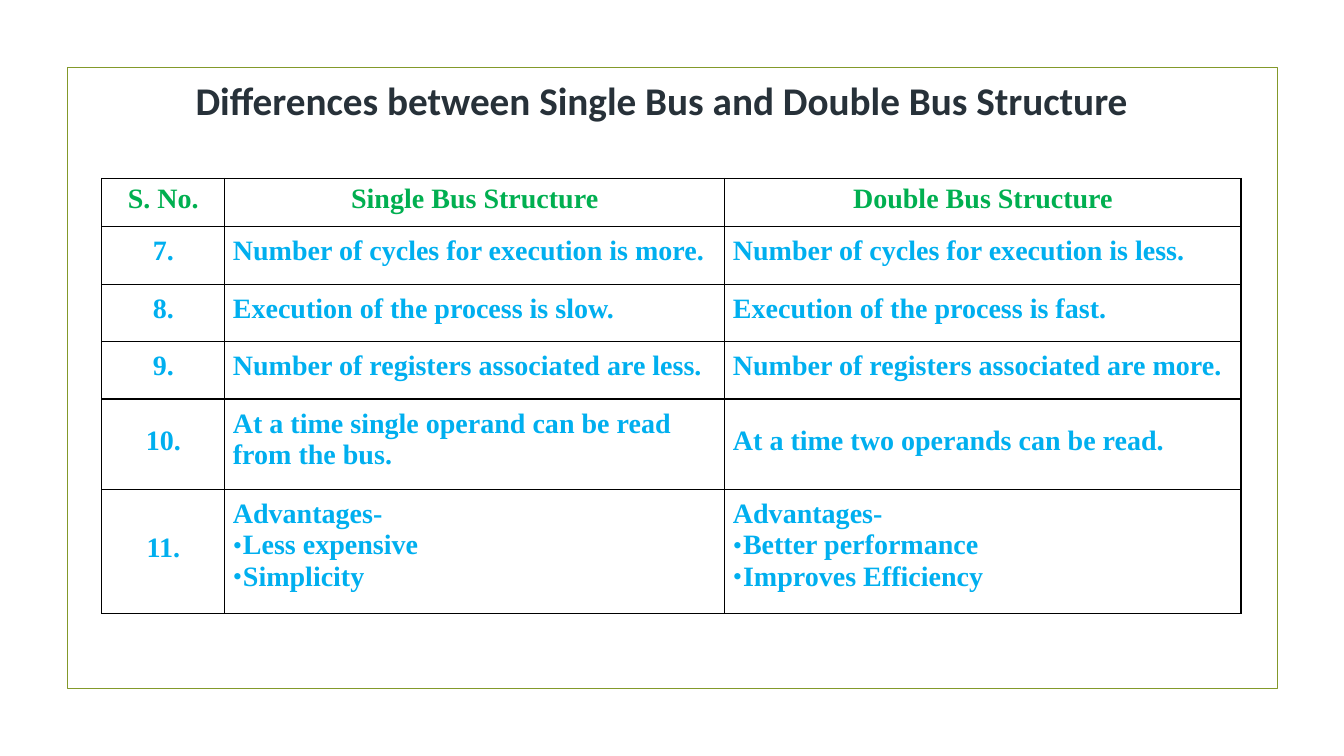
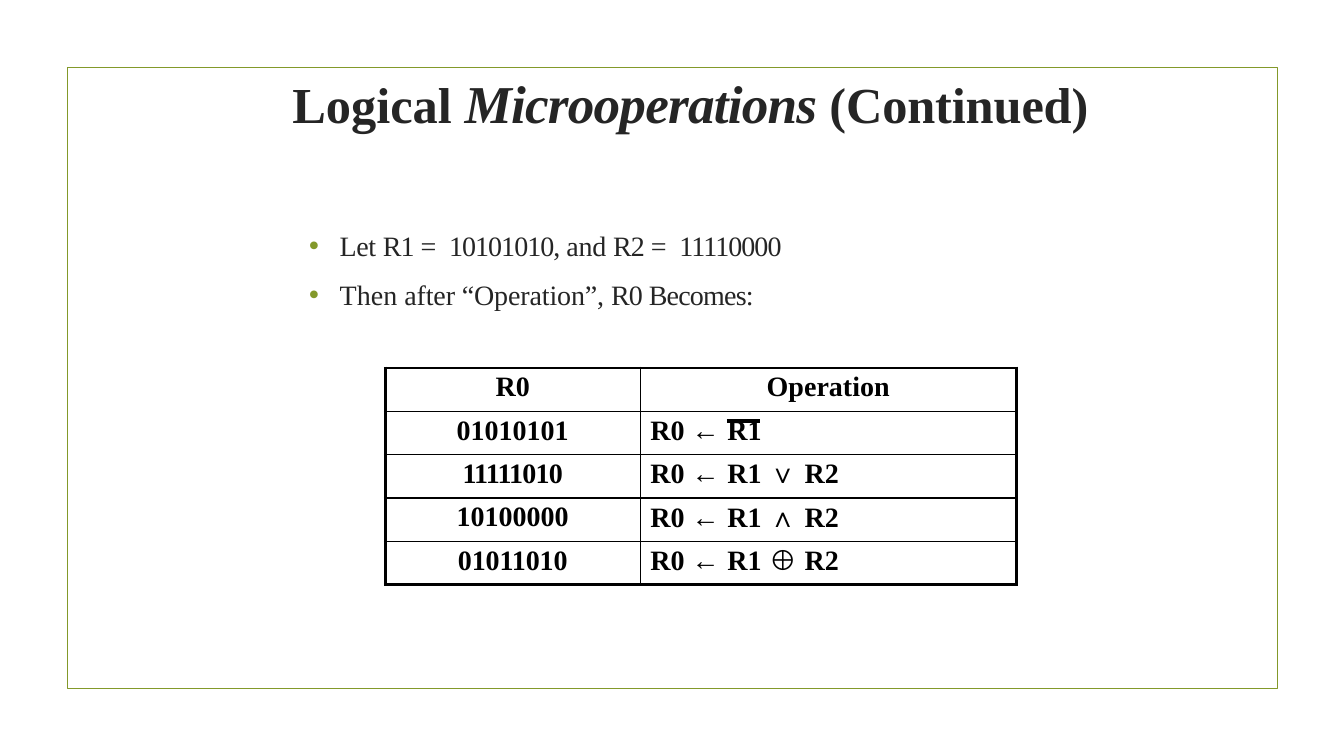
from lxml import etree
from pptx import Presentation
from pptx.dml.color import RGBColor
from pptx.enum.shapes import MSO_CONNECTOR, MSO_SHAPE
from pptx.enum.text import MSO_ANCHOR, PP_ALIGN
from pptx.oxml.ns import qn
from pptx.util import Inches, Pt

LEFT, CENTER = PP_ALIGN.LEFT, PP_ALIGN.CENTER
TOP = MSO_ANCHOR.TOP
RECT, STRAIGHT = MSO_SHAPE.RECTANGLE, MSO_CONNECTOR.STRAIGHT

COLORS = {"frame": "83992A", "slate": "273139", "ink": "252525", "head": "00AF50",
          "body": "00AFEF", "black": "000000", "white": "FFFFFF"}
SERIF, SANS, SYMBOL = "Times New Roman", "Calibri", "Arial"

# ---- Content: a run is a string or (string, format changes) ----
BUS_TITLE = ["Differences between Single Bus and Double Bus Structure"]
BUS_HEAD = ["S. No.", "Single Bus Structure", "Double Bus Structure"]
BUS_ROWS = [  # a list in a cell is a lead line followed by bullets
    ("7.", "Number of cycles for execution is more.",
     "Number of cycles for execution is less."),
    ("8.", "Execution of the process is slow.", "Execution of the process is fast."),
    ("9.", "Number of registers associated are less.",
     "Number of registers associated are more."),
    ("10.", "At a time single operand can be read from the bus.",
     "At a time two operands can be read."),
    ("11.", ["Advantages-", "Less expensive", "Simplicity"],
     ["Advantages-", "Better performance", "Improves Efficiency"]),
]
BUS_COLS = [1.22, 4.96, 5.12]
BUS_HEIGHTS = [0.48, 0.57, 0.57, 0.57, 0.9, 1.23]
BUS_INSETS = {"10.": (0.26, 0.09, 0.26), "11.": (0.42, 0.09, 0.09)}

LOGIC_TITLE = ["Logical ", ("Microoperations ", {"size": 38, "italic": True, "spc": -0.6}),
               ("(Continued)", {"spc": -0.1})]
TIGHT, WIDE = {"spc": -0.7}, {"spc": 2}
LOGIC_POINTS = [
    [("Let ", {"spc": -0.3}), ("R1 ", TIGHT), ("= ", WIDE), ("10101010, ", TIGHT),
     ("and ", {"spc": -0.2}), ("R2 ", TIGHT), ("= ", WIDE), ("11110000", TIGHT)],
    ["Then ", ("after “Operation”, ", {"spc": -0.1}), ("R0 ", TIGHT),
     ("Becomes:", {"spc": -0.6})],
]
ARROW = ("← ", {"font": SYMBOL})
LOGIC_HEAD = ["R0", "Operation"]
LOGIC_ROWS = [  # result, its spacing, operator (none for the complement)
    ("01010101", 0, None),
    ("11111010", -0.6, "∨ "),
    ("10100000", 0, "∧ "),
    ("01011010", -0.1, "⊕ "),
]
LOGIC_COLS, LOGIC_HEIGHT = [2.53, 3.73], 0.43


def rgb(name):
    return RGBColor.from_string(COLORS[name])


def add_runs(p, runs, base):
    for item in runs:
        text, changes = (item, {}) if isinstance(item, str) else item
        fmt = {**base, **changes}
        r = p.add_run()
        r.text = text
        values = {"name": fmt["font"], "size": Pt(fmt["size"]),
                  "bold": fmt.get("bold", False), "italic": fmt.get("italic", False)}
        for key, value in values.items():
            setattr(r.font, key, value)
        r.font.color.rgb = rgb(fmt["color"])
        if fmt.get("spc"):
            r._r.get_or_add_rPr().set("spc", str(round(fmt["spc"] * 100)))


def add_bullet(p, left, hang, percent, color):
    pPr = p._p.get_or_add_pPr()
    pPr.set("marL", str(Inches(left)))
    pPr.set("indent", str(-Inches(hang)))
    clr = etree.SubElement(pPr, qn("a:buClr"))
    etree.SubElement(clr, qn("a:srgbClr"), val=COLORS[color])
    etree.SubElement(pPr, qn("a:buSzPct"), val=str(percent * 1000))
    etree.SubElement(pPr, qn("a:buFont"), typeface=SERIF)
    etree.SubElement(pPr, qn("a:buChar"), char="•")


def set_margins(obj, left=0, top=0):
    for side, value in {"left": left, "top": top, "right": 0, "bottom": 0}.items():
        setattr(obj, "margin_" + side, Inches(value))


def add_text(s, x, y, w, h, top):
    tf = s.shapes.add_textbox(*map(Inches, (x, y, w, h))).text_frame
    tf.word_wrap = True
    set_margins(tf, top=top)
    return tf


def new_slide(prs, box, title, fmt):
    """Blank slide with the shared frame and a bold title."""
    s = prs.slides.add_slide(prs.slide_layouts[6])
    frame = s.shapes.add_shape(RECT, *map(Inches, (0.67, 0.67, 12, 6.16)))
    frame.shadow.inherit = False
    frame.fill.background()
    frame.line.color.rgb = rgb("frame")
    frame.line.width = Pt(1.25)
    add_runs(add_text(s, *box, 0.01).paragraphs[0], title, {"bold": True, **fmt})
    return s


def add_grid(s, x, y, cols, heights, outer):
    """Plain white table with 1 pt rules and an outer edge of its own width."""
    tbl = s.shapes.add_table(len(heights), len(cols), Inches(x), Inches(y),
                             Inches(sum(cols)), Inches(sum(heights))).table
    tbl.first_row = tbl.horz_banding = False
    for col, w in zip(tbl.columns, cols):
        col.width = Inches(w)
    for row, h in zip(tbl.rows, heights):
        row.height = Inches(h)
    for i in range(len(heights)):
        for j in range(len(cols)):
            cell = tbl.cell(i, j)
            edges = {"L": j == 0, "R": j == len(cols) - 1,
                     "T": i == 0, "B": i == len(heights) - 1}
            tcPr = cell._tc.get_or_add_tcPr()
            for side, is_outer in edges.items():
                ln = etree.SubElement(tcPr, qn("a:ln" + side),
                                      w=str(Pt(outer if is_outer else 1)))
                fill = etree.SubElement(ln, qn("a:solidFill"))
                etree.SubElement(fill, qn("a:srgbClr"), val=COLORS["black"])
            cell.fill.solid()
            cell.fill.fore_color.rgb = rgb("white")
            cell.vertical_anchor = TOP
    return tbl


def fill_cell(cell, lines, fmt, top, left=None):
    """Write lines of runs; centred unless a left inset is given."""
    set_margins(cell, left or 0, top)
    tf = cell.text_frame
    for k, runs in enumerate(lines):
        p = tf.add_paragraph() if k else tf.paragraphs[0]
        p.alignment = CENTER if left is None else LEFT
        if k:
            add_bullet(p, 0.1, 0.1, 95, fmt["color"])
        add_runs(p, runs, fmt)


def bus_slide(prs):
    s = new_slide(prs, (1.94, 0.75, 9.4, 0.49), BUS_TITLE,
                  {"font": SANS, "size": 28, "color": "slate"})
    tbl = add_grid(s, 1.01, 1.77, BUS_COLS, BUS_HEIGHTS, 1)
    fmt = {"font": SERIF, "size": 20, "bold": True, "color": "body"}
    for j, text in enumerate(BUS_HEAD):
        fill_cell(tbl.cell(0, j), [[text]], {**fmt, "color": "head"}, 0.05)
    for i, row in enumerate(BUS_ROWS, 1):
        insets = BUS_INSETS.get(row[0], (0.09,) * 3)
        for j, (content, top) in enumerate(zip(row, insets)):
            lines = [content] if isinstance(content, str) else content
            fill_cell(tbl.cell(i, j), [[line] for line in lines], fmt, top,
                      0.08 if j else None)


def logic_slide(prs):
    s = new_slide(prs, (2.9, 0.69, 8.2, 0.66), LOGIC_TITLE,
                  {"font": SERIF, "size": 36, "color": "ink"})
    # Bulleted statement
    tf = add_text(s, 3.06, 2.11, 4.9, 0.99, 0.16)
    for k, runs in enumerate(LOGIC_POINTS):
        p = tf.add_paragraph() if k else tf.paragraphs[0]
        if k:
            p.space_before = Pt(10.8)
        add_bullet(p, 0.31, 0.31, 115, "frame")
        add_runs(p, runs, {"font": SERIF, "size": 20, "color": "ink"})
    # Results table
    heights = [LOGIC_HEIGHT] * (len(LOGIC_ROWS) + 1)
    tbl = add_grid(s, 3.82, 3.65, LOGIC_COLS, heights, 2.25)
    fmt = {"font": SERIF, "size": 20, "bold": True, "color": "black"}
    for j, text in enumerate(LOGIC_HEAD):
        fill_cell(tbl.cell(0, j), [[text]], fmt, 0.04)
    for i, (result, spc, operator) in enumerate(LOGIC_ROWS, 1):
        fill_cell(tbl.cell(i, 0), [[(result, {"spc": spc})]], fmt, 0.04)
        runs = ["R0 ", ARROW, "R1"]
        if operator:
            runs += [" ", (operator, {"font": SYMBOL}), "R2"]
        fill_cell(tbl.cell(i, 1), [runs], fmt, 0.04, 0.1)
    # Complement bar over R1
    bar = s.shapes.add_connector(STRAIGHT, *map(Inches, (7.21, 4.18, 7.54, 4.18)))
    bar.line.color.rgb = rgb("black")
    bar.line.width = Pt(3)
    etree.SubElement(bar._element.spPr, qn("a:effectLst"))


def main():
    prs = Presentation()
    prs.slide_width, prs.slide_height = Inches(13.33), Inches(7.5)
    bus_slide(prs)
    logic_slide(prs)
    prs.save("out.pptx")


if __name__ == "__main__":
    main()
